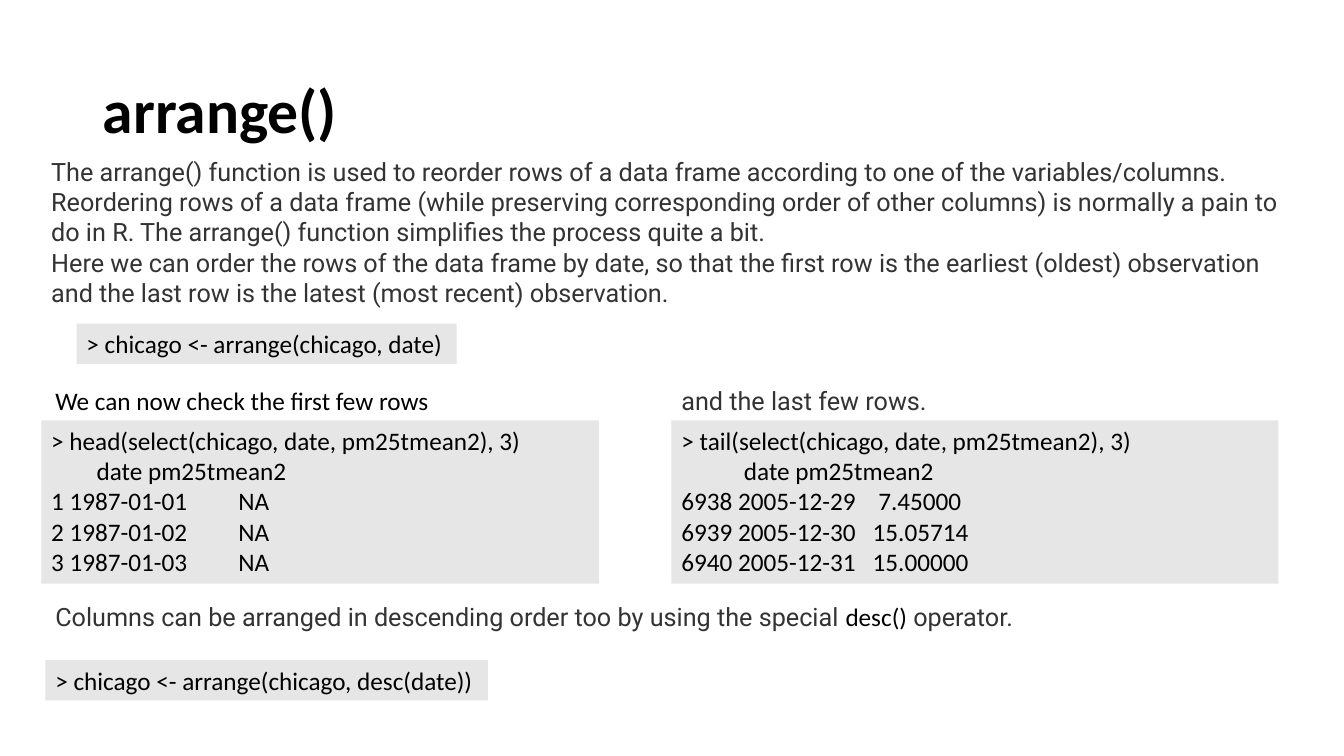
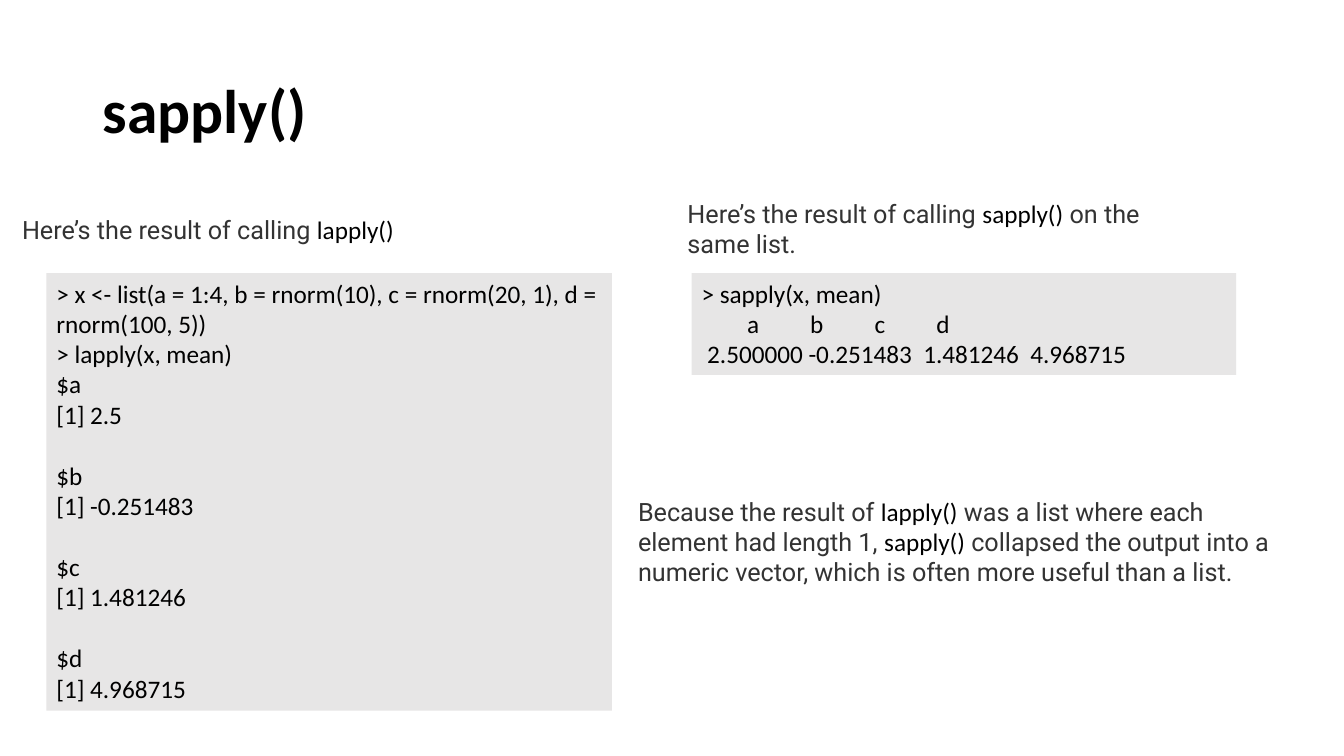
from dataclasses import dataclass

from pptx import Presentation
from pptx.dml.color import RGBColor
from pptx.enum.shapes import MSO_SHAPE
from pptx.enum.text import MSO_ANCHOR, MSO_AUTO_SIZE, PP_ALIGN
from pptx.util import Emu, Pt

# Content: (kind, (left, top, width, height) in px, lines).
# Backticks mark code inside prose; an empty code line becomes a gap.
SLIDES = [
    ("arrange()", [
        ("prose", (41, 150, 1250, 162), [
            "The arrange() function is used to reorder rows of a data frame according to "
            "one of the variables/columns. Reordering rows of a data frame (while "
            "preserving corresponding order of other columns) is normally a pain to do "
            "in R. The arrange() function simplifies the process quite a bit.",
            "Here we can order the rows of the data frame by date, so that the first row "
            "is the earliest (oldest) observation and the last row is the latest (most "
            "recent) observation.",
        ]),
        ("code", (76, 321, 377, 40), ["> chicago <- arrange(chicago, date)"]),
        ("label", (45, 377, 553, 40), ["We can now check the first few rows"]),
        ("code", (41, 417, 553, 162), [
            "> head(select(chicago, date, pm25tmean2), 3)",
            "        date pm25tmean2",
            "1 1987-01-01         NA",
            "2 1987-01-02         NA",
            "3 1987-01-03         NA",
        ]),
        ("prose", (666, 377, 267, 40), ["and the last few rows."]),
        ("code", (666, 417, 602, 162), [
            "> tail(select(chicago, date, pm25tmean2), 3)",
            "           date pm25tmean2",
            "6938 2005-12-29    7.45000",
            "6939 2005-12-30   15.05714",
            "6940 2005-12-31   15.00000",
        ]),
        ("prose", (45, 592, 1079, 40), [
            "Columns can be arranged in descending order too by using the special "
            "`desc()` operator.",
        ]),
        ("code", (45, 655, 439, 40), ["> chicago <- arrange(chicago, desc(date))"]),
    ]),
    ("sapply()", [
        ("prose", (12, 208, 395, 40), ["Here’s the result of calling `lapply()`"]),
        ("code", (46, 271, 561, 434), [
            "> x <- list(a = 1:4, b = rnorm(10), c = rnorm(20, 1), d = rnorm(100, 5))",
            "> lapply(x, mean)",
            "$a",
            "[1] 2.5",
            "",
            "$b",
            "[1] -0.251483",
            "",
            "$c",
            "[1] 1.481246",
            "",
            "$d",
            "[1] 4.968715",
        ]),
        ("prose", (672, 192, 509, 71), [
            "Here’s the result of calling `sapply()` on the same list.",
        ]),
        ("code", (686, 271, 540, 101), [
            "> sapply(x, mean)",
            "        a         b         c         d",
            " 2.500000 -0.251483  1.481246  4.968715",
        ]),
        ("prose", (623, 487, 667, 101), [
            "Because the result of `lapply()` was a list where each element had length 1, "
            "`sapply()` collapsed the output into a numeric vector, which is often more "
            "useful than a list.",
        ]),
    ]),
]

# Layout
PX = 9144  # EMU per px, 100 px to the inch
PAGE_SIZE = (1333, 750)
TITLE_PLACE = (92, 40, 1150, 145)
TITLE_ONLY = 5


@dataclass(frozen=True)
class Theme:
    ink: RGBColor = RGBColor(0x00, 0x00, 0x00)
    prose: RGBColor = RGBColor(0x33, 0x33, 0x33)
    panel: RGBColor = RGBColor(0xE7, 0xE6, 0xE6)
    body_size: Pt = Pt(18)
    title_size: Pt = Pt(44)
    code_gap: Pt = Pt(22)


THEME = Theme()
TITLE = {"name": "Calibri", "size": THEME.title_size, "bold": True, "color": THEME.ink}
CODE = {"name": "Calibri", "size": THEME.body_size, "color": THEME.ink}
PROSE = {"name": "Roboto", "size": THEME.body_size, "color": THEME.prose}
STYLES = {"prose": PROSE, "label": CODE, "code": CODE}


def emu(lengths):
    return [Emu(length * PX) for length in lengths]


def add_span(para, text, style):
    span = para.add_run()
    span.text = text
    for key, value in style.items():
        if key == "color":
            span.font.color.rgb = value
        else:
            setattr(span.font, key, value)


def add_title(page, text):
    title = page.shapes.title
    title.left, title.top, title.width, title.height = emu(TITLE_PLACE)
    frame = title.text_frame
    frame.vertical_anchor = MSO_ANCHOR.MIDDLE
    para = frame.paragraphs[0]
    para.alignment = PP_ALIGN.LEFT
    para.line_spacing = 0.9
    add_span(para, text, TITLE)


def add_box(page, kind, place):
    if kind != "code":
        return page.shapes.add_textbox(*emu(place))
    panel = page.shapes.add_shape(MSO_SHAPE.RECTANGLE, *emu(place))
    panel.shadow.inherit = False
    panel.fill.solid()
    panel.fill.fore_color.rgb = THEME.panel
    panel.line.fill.background()
    return panel


def add_block(page, kind, place, lines):
    frame = add_box(page, kind, place).text_frame
    frame.word_wrap = True
    frame.auto_size = MSO_AUTO_SIZE.SHAPE_TO_FIT_TEXT
    frame.vertical_anchor = MSO_ANCHOR.TOP
    for index, line in enumerate(lines):
        if not line:
            continue
        para = frame.add_paragraph() if index else frame.paragraphs[0]
        para.alignment = PP_ALIGN.LEFT
        if index and not lines[index - 1]:
            para.space_before = THEME.code_gap
        # Every second piece between backticks is code
        pieces = line.split("`") if kind == "prose" else [line]
        for order, piece in enumerate(pieces):
            if piece:
                add_span(para, piece, CODE if order % 2 else STYLES[kind])


def main():
    deck = Presentation()
    deck.slide_width, deck.slide_height = emu(PAGE_SIZE)
    for heading, blocks in SLIDES:
        page = deck.slides.add_slide(deck.slide_layouts[TITLE_ONLY])
        add_title(page, heading)
        for kind, place, lines in blocks:
            add_block(page, kind, place, lines)
    deck.save("out.pptx")


if __name__ == "__main__":
    main()
